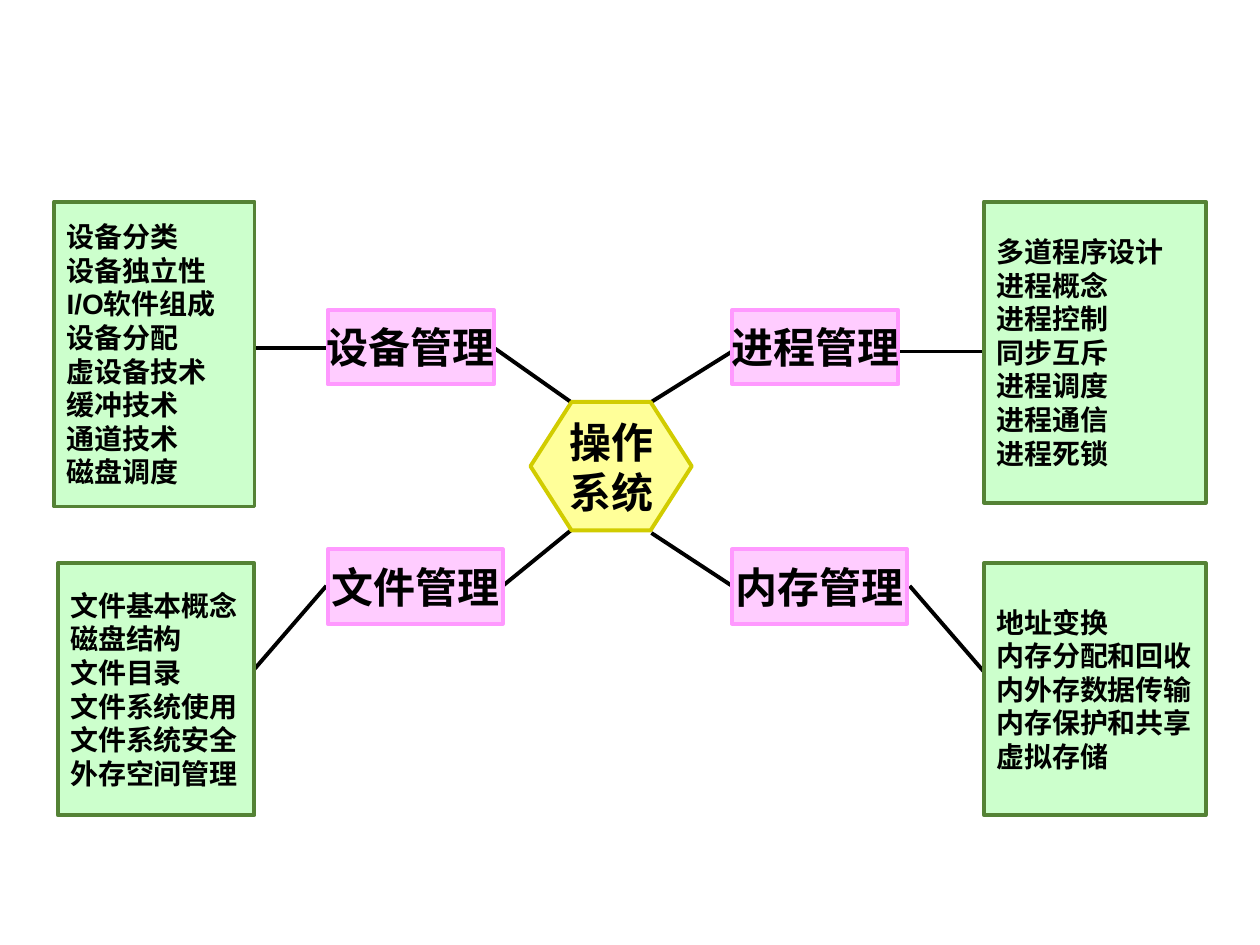
from lxml import etree
from pptx import Presentation
from pptx.dml.color import RGBColor
from pptx.enum.shapes import MSO_CONNECTOR, MSO_SHAPE
from pptx.enum.text import MSO_ANCHOR, PP_ALIGN
from pptx.oxml.ns import qn
from pptx.util import Inches, Pt

RECTANGLE, HEXAGON = MSO_SHAPE.RECTANGLE, MSO_SHAPE.HEXAGON
STRAIGHT = MSO_CONNECTOR.STRAIGHT
MIDDLE = MSO_ANCHOR.MIDDLE
LEFT, CENTER = PP_ALIGN.LEFT, PP_ALIGN.CENTER

COLORS = {
    "black": "000000",
    "topic_fill": "FFCCFF", "topic_line": "FF99FF",
    "detail_fill": "CCFFCC", "detail_line": "548235",
    "core_fill": "FFFF99", "core_line": "D1CC00",
}
LINE_WIDTH = Pt(2.25)


def add_box(kind, style, left, top, width, height):
    shape = slide.shapes.add_shape(
        kind, Inches(left), Inches(top), Inches(width), Inches(height))
    shape.shadow.inherit = False
    shape.fill.solid()
    shape.fill.fore_color.rgb = RGBColor.from_string(COLORS[style + "_fill"])
    shape.line.color.rgb = RGBColor.from_string(COLORS[style + "_line"])
    shape.line.width = LINE_WIDTH
    return shape


def write_lines(shape, lines, size, alignment, wrap=False):
    """Write one bold paragraph per line, centred vertically in the shape."""
    frame = shape.text_frame
    frame.word_wrap = wrap
    frame.vertical_anchor = MIDDLE
    for index, line in enumerate(lines):
        paragraph = frame.add_paragraph() if index else frame.paragraphs[0]
        paragraph.alignment = alignment
        run = paragraph.add_run()
        run.text = line
        run.font.name = "Arial"
        run.font.size = Pt(size)
        run.font.bold = True
        run.font.color.rgb = RGBColor.from_string(COLORS["black"])


presentation = Presentation()
presentation.slide_width = Inches(10)
presentation.slide_height = Inches(7.5)
slide = presentation.slides.add_slide(presentation.slide_layouts[6])

# Links from the core to the topics, then from the topics to their details
links = [
    (5.17, 3.19, 5.81, 2.79),
    (3.99, 4.65, 4.53, 4.21),
    (5.81, 4.65, 5.17, 4.23),
    (4.53, 3.19, 3.92, 2.76),
    (7.13, 2.79, 7.81, 2.79),
    (2.6, 2.76, 2.02, 2.76),
    (2.59, 4.65, 2.02, 5.31),
    (7.22, 4.65, 7.86, 5.39),
]
for link in links:
    connector = slide.shapes.add_connector(STRAIGHT, *map(Inches, link))
    connector.line.color.rgb = RGBColor.from_string(COLORS["black"])
    connector.line.width = LINE_WIDTH
    etree.SubElement(connector._element.spPr, qn("a:effectLst"))

# Topic, its box, the box of its details, the details
branches = [
    ("进程管理", (5.81, 2.46, 1.32, 0.59), (7.81, 1.6, 1.76, 2.39),
     ["多道程序设计", "进程概念", "进程控制", "同步互斥", "进程调度",
      "进程通信", "进程死锁"]),
    ("设备管理", (2.6, 2.46, 1.32, 0.59), (0.43, 1.6, 1.59, 2.42),
     ["设备分类", "设备独立性", "I/O软件组成", "设备分配", "虚设备技术",
      "缓冲技术", "通道技术", "磁盘调度"]),
    ("文件管理", (2.6, 4.36, 1.39, 0.59), (0.46, 4.47, 1.56, 2),
     ["文件基本概念", "磁盘结构", "文件目录", "文件系统使用",
      "文件系统安全", "外存空间管理"]),
    ("内存管理", (5.81, 4.36, 1.39, 0.59), (7.81, 4.47, 1.76, 2),
     ["地址变换", "内存分配和回收", "内外存数据传输", "内存保护和共享",
      "虚拟存储"]),
]
for topic, topic_box, detail_box, details in branches:
    write_lines(add_box(RECTANGLE, "topic", *topic_box), [topic], 24, CENTER)
    write_lines(add_box(RECTANGLE, "detail", *detail_box), details, 16, LEFT)

# Core
core = add_box(HEXAGON, "core", 4.21, 3.19, 1.28, 1.02)
core.adjustments[0] = 0.32
core_label = slide.shapes.add_textbox(
    Inches(4.33), Inches(3.25), Inches(1.05), Inches(0.91))
write_lines(core_label, ["操作", "系统"], 24, CENTER, wrap=True)

presentation.save("out.pptx")
